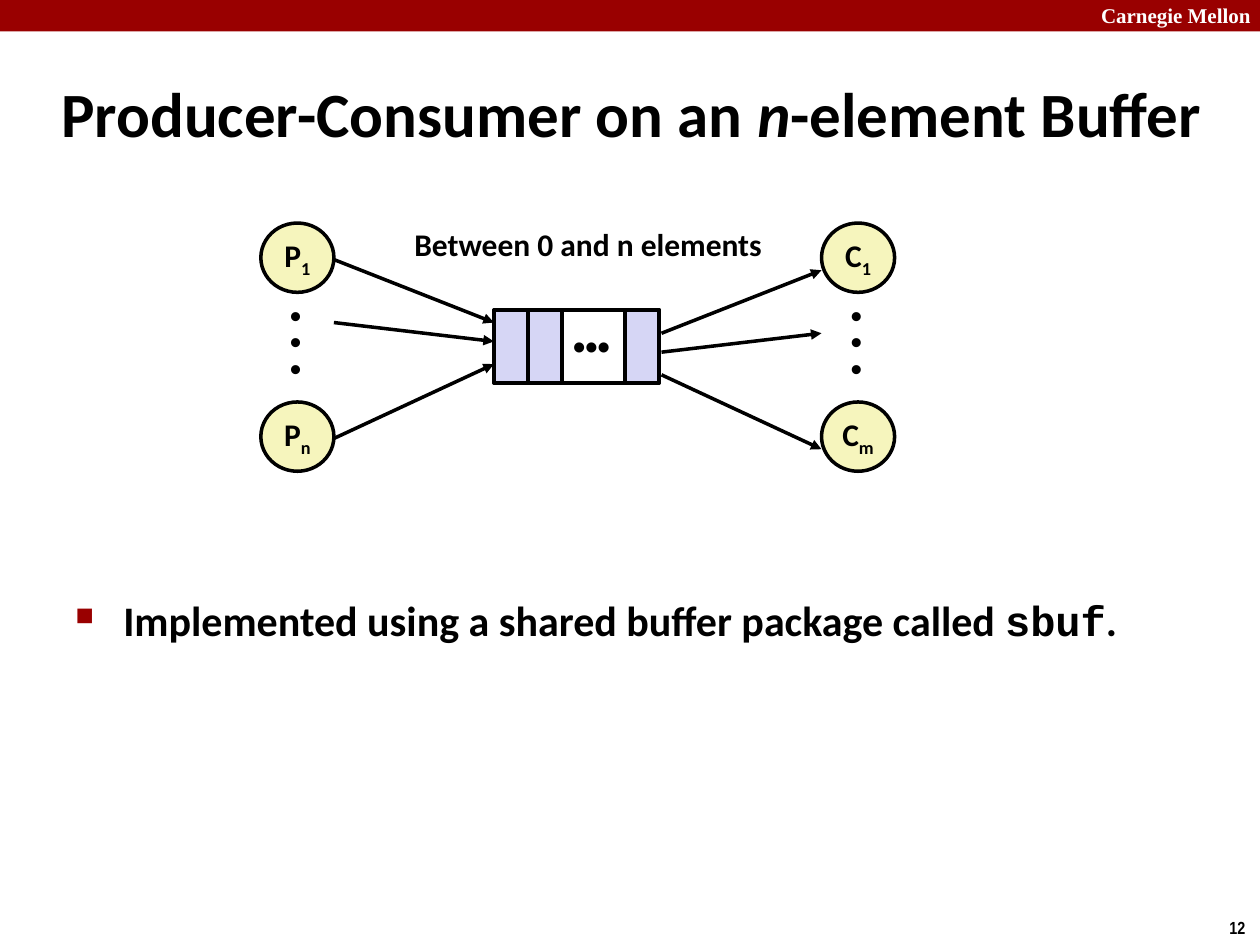
from lxml import etree
from pptx import Presentation
from pptx import util as u
from pptx.dml.color import RGBColor
from pptx.enum import shapes, text
from pptx.oxml.ns import qn

COLORS = {"bar": "990000", "ink": "000000", "paper": "FFFFFF",
          "slot": "D6D6F5", "thread": "F6F5BD"}
COLS, ROWS = 100, 75
UNIT = u.Inches(10) // COLS
SLOT_W, SLOT_H = 2.7, 5.8
BUFFER_X, BUFFER_Y, BUFFER_W = 39.2, 24.6, 13.1
NODE_W, NODE_H = 5.8, 5.5
NODE_ROWS = (17.7, 31.9)
PRODUCER_X, CONSUMER_X = 20.7, 65.2
ARROW_ROWS = ((20.6, 25.6), (25.6, 27.1), (34.8, 28.9))
ARROW_DROP = 0.85


def grid(*cells):
    return [round(c * UNIT) for c in cells]


def rgb(name):
    return RGBColor.from_string(COLORS[name])


def apply(obj, **values):
    for name, value in values.items():
        setattr(obj, name, value)


def add_runs(p, runs, font, size, color="ink"):
    for content, extra in runs:
        r = p.add_run()
        r.text = content
        base = extra.get("base")
        apply(r.font, **{"name": font, "size": u.Pt(size), "bold": True,
                         **{k: v for k, v in extra.items() if k != "base"}})
        r.font.color.rgb = rgb(color)
        if base:
            r.font._element.set("baseline", str(base))


def add_text(s, box, lines, font, size, color="ink", wrap=True, frame=None, para=None):
    tf = s.shapes.add_textbox(*grid(*box)).text_frame
    apply(tf, word_wrap=wrap, **(frame or {}))
    for i, runs in enumerate(lines):
        p = tf.add_paragraph() if i else tf.paragraphs[0]
        apply(p, **(para or {}))
        add_runs(p, runs, font, size, color)
    return tf


def add_box(s, kind, box, fill=None, line="ink"):
    sp = s.shapes.add_shape(kind, *grid(*box))
    sp.shadow.inherit = False
    if fill:
        sp.fill.solid()
        sp.fill.fore_color.rgb = rgb(fill)
    else:
        sp.fill.background()
    if line:
        sp.line.color.rgb = rgb(line)
        sp.line.width = u.Pt(2)
    else:
        sp.line.fill.background()
    return sp


def add_node(s, x, y, letter, index):
    sp = add_box(s, shapes.MSO_SHAPE.OVAL, (x, y, NODE_W, NODE_H), "thread")
    tf = sp.text_frame
    apply(tf, word_wrap=False, margin_top=0, margin_bottom=0,
          vertical_anchor=text.MSO_ANCHOR.MIDDLE)
    p = tf.paragraphs[0]
    p.alignment = text.PP_ALIGN.CENTER
    add_runs(p, [(letter, {}), (index, {"base": -25000})], "Calibri", 18)


def add_threads(s, x, letter, last):
    for y, index in zip(NODE_ROWS, ("1", last)):
        add_node(s, x, y, letter, index)
    add_text(s, (x + 1.35, 23.8, 3.2, 7.5), [[("•", {})]] * 3, "Arial", 18,
             wrap=False, para={"line_spacing": 0.7})


def add_arrow(s, x1, y1, x2, y2):
    c = s.shapes.add_connector(shapes.MSO_CONNECTOR.STRAIGHT, *grid(x1, y1, x2, y2))
    c.line.color.rgb = rgb("ink")
    c.line.width = u.Pt(2)
    etree.SubElement(c.line._get_or_add_ln(), qn("a:tailEnd"), type="triangle")
    etree.SubElement(c._element.spPr, qn("a:effectLst"))


def add_bullet(p, char, color, share, indent):
    pPr = p._p.get_or_add_pPr()
    pPr.set("marL", str(indent))
    pPr.set("indent", str(-indent))
    clr = etree.SubElement(pPr, qn("a:buClr"))
    etree.SubElement(clr, qn("a:srgbClr"), val=COLORS[color])
    etree.SubElement(pPr, qn("a:buSzPct"), val=str(share * 1000))
    etree.SubElement(pPr, qn("a:buChar"), char=char)


def add_buffer(s):
    rect = shapes.MSO_SHAPE.RECTANGLE
    for x in (BUFFER_X, BUFFER_X + SLOT_W, BUFFER_X + BUFFER_W - SLOT_W):
        add_box(s, rect, (x, BUFFER_Y, SLOT_W, SLOT_H), "slot")
    add_text(s, (41.9, 26.2, 10.1, 3.5), [[("•••", {})]], "Arial", 20,
             para={"alignment": text.PP_ALIGN.CENTER, "line_spacing": 0.7})
    add_box(s, rect, (BUFFER_X, BUFFER_Y, BUFFER_W, SLOT_H))
    add_text(s, (31.9, 17.4, 30, 4), [[("Between 0 and n elements", {})]],
             "Calibri", 18, wrap=False)


def add_diagram(s):
    add_threads(s, PRODUCER_X, "P", "n")
    add_threads(s, CONSUMER_X, "C", "m")
    for outer, inner in ARROW_ROWS:
        add_arrow(s, PRODUCER_X + NODE_W, outer, BUFFER_X, inner)
        add_arrow(s, BUFFER_X + BUFFER_W + 0.2, inner + ARROW_DROP,
                  CONSUMER_X, outer + ARROW_DROP)
    add_buffer(s)


def main():
    prs = Presentation()
    apply(prs, slide_width=COLS * UNIT, slide_height=ROWS * UNIT)
    s = prs.slides.add_slide(prs.slide_layouts[6])
    add_box(s, shapes.MSO_SHAPE.RECTANGLE, (0, 0, COLS, 2.5), "bar", None)
    add_text(s, (86.4, -0.3, 14.3, 3), [[("Carnegie Mellon", {})]],
             "Times New Roman", 12, "paper")
    add_text(s, (96.6, 72.3, 3.4, 2.7), [[("12", {})]], "Arial Narrow", 10, wrap=False)
    add_text(s, (3.9, 4.8, 93.6, 8.3),
             [[("Producer-Consumer on an ", {}), ("n", {"italic": True}),
               ("-element Buffer", {})]],
             "Calibri", 36, frame={"vertical_anchor": text.MSO_ANCHOR.MIDDLE})
    tf = add_text(s, (5, 46.7, 89.8, 11.8),
                  [[("Implemented using a shared buffer package called ", {}),
                    ("sbuf", {"name": "Courier New"}), (".", {})]], "Calibri", 24)
    add_bullet(tf.paragraphs[0], "■", "bar", 60, *grid(3.8))
    add_diagram(s)
    prs.save("out.pptx")


if __name__ == "__main__":
    main()
